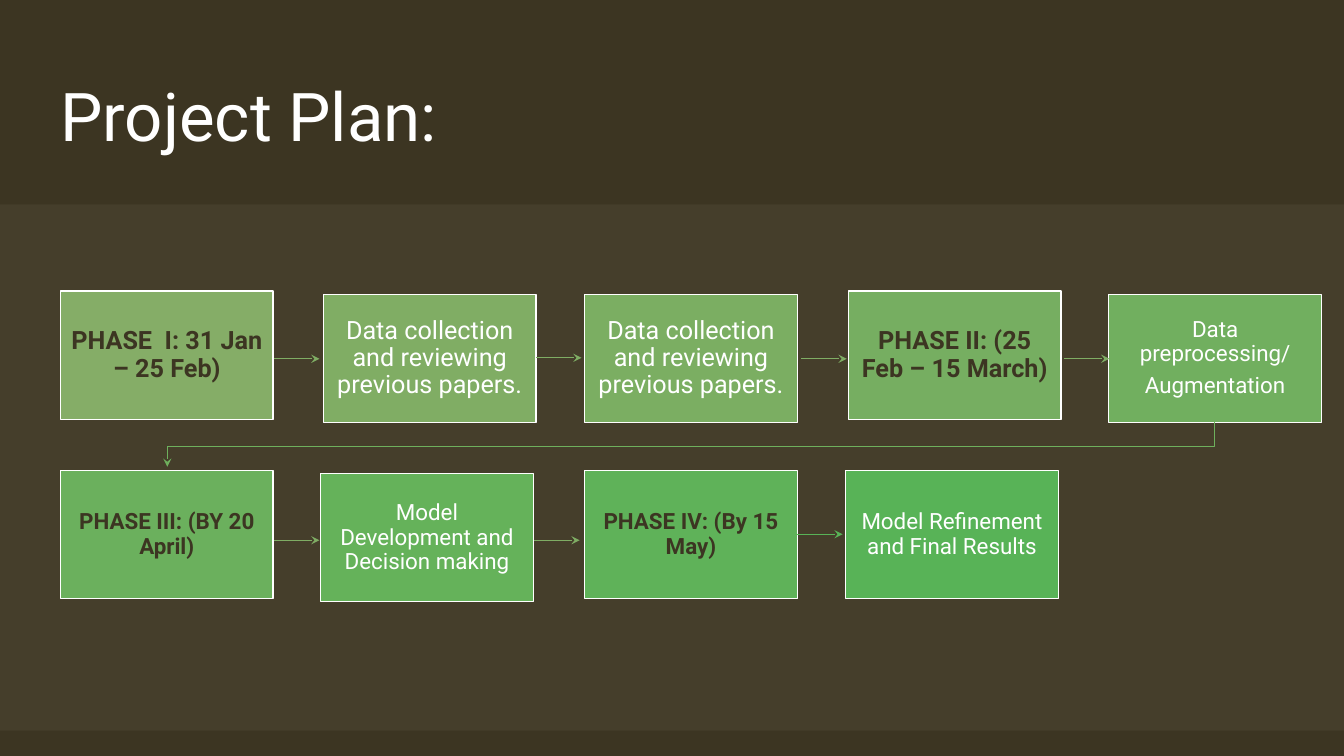
from lxml.etree import SubElement
from pptx import Presentation
from pptx.dml.color import RGBColor
from pptx.enum.shapes import MSO_CONNECTOR, MSO_SHAPE
from pptx.enum.text import MSO_ANCHOR, MSO_AUTO_SIZE, PP_ALIGN
from pptx.oxml.ns import qn
from pptx.util import Pt

COLORS = {
    "background": "3C3522", "band": "F1ECE3", "white": "FFFFFF",
    "dark": "3C3522", "arrow": "7FAD64", "turn": "6EB05D", "last": "58B357",
}
BOX_WIDTH, BOX_HEIGHT = 152, 91.5
PHASE = {"size": Pt(18), "bold": True}
TASK = {"size": Pt(18), "bold": False}
SMALL = {"size": Pt(16)}
STEPS = [
    (43.2, 208, "85AD67", PHASE, ["PHASE  I: 31 Jan – 25 Feb)"]),
    (231, 210.2, "80AD64", TASK, ["Data collection and reviewing previous papers."]),
    (417.6, 210.2, "7BAE62", TASK, ["Data collection and reviewing previous papers."]),
    (606, 208, "76AE61", PHASE, ["PHASE II: (25 Feb – 15 March)"]),
    (792, 210.2, "71AF5F", TASK | SMALL, ["Data preprocessing/", "Augmentation"]),
    (43.2, 336.2, "6BB05D", PHASE | SMALL, ["PHASE III: (BY 20 April)"]),
    (229, 338.4, "65B25A", TASK | SMALL, ["Model Development and Decision making"]),
    (417.6, 336.2, "5FB259", PHASE | SMALL, ["PHASE IV: (By 15 May)"]),
    (604, 336.2, "58B357", TASK | SMALL, ["Model Refinement and Final Results"]),
]
ARROWS = [
    (195.8, 256.3, "arrow"), (383, 255.6, "arrow"), (572.4, 256.3, "arrow"),
    (760, 256.3, "arrow"), (195.8, 385.9, "arrow"), (381.6, 385.9, "arrow"),
    (569.5, 381.6, "last"),
]
ARROW_LENGTH = 32.4
TURN = [(867.8, 301), (867.8, 319), (119.5, 319), (119.5, 333.4)]


def color(name):
    """Return the colour for a name in COLORS or for a hex string."""
    return RGBColor.from_string(COLORS.get(name, name))


def apply(target, values):
    """Set each attribute of the target from a dict."""
    for name, value in values.items():
        setattr(target, name, value)


def write(shape, lines, ink, frame_format, para_format, font_format):
    """Fill a shape with formatted paragraphs."""
    frame = shape.text_frame
    apply(frame, {"word_wrap": True, "auto_size": MSO_AUTO_SIZE.NONE,
                  "vertical_anchor": MSO_ANCHOR.MIDDLE} | frame_format)
    for index, line in enumerate(lines):
        para = frame.paragraphs[0] if index == 0 else frame.add_paragraph()
        apply(para, para_format)
        if index:
            para.space_before = Pt(5.6)
        span = para.add_run()
        span.text = line
        apply(span.font, {"name": "Roboto"} | font_format)
        span.font.color.rgb = color(ink)


def add_rectangle(page, left, top, width, height, fill):
    """Add a plain filled rectangle without a line."""
    box = page.shapes.add_shape(
        MSO_SHAPE.RECTANGLE, Pt(left), Pt(top), Pt(width), Pt(height))
    box.shadow.inherit = False
    box.fill.solid()
    box.fill.fore_color.rgb = color(fill)
    box.line.fill.background()
    return box


def add_title(page, text):
    """Move and format the title placeholder."""
    title = page.shapes.title
    apply(title, {"left": Pt(43.2), "top": Pt(43.2),
                  "width": Pt(575), "height": Pt(78)})
    margins = dict.fromkeys(
        ["margin_left", "margin_right", "margin_top", "margin_bottom"], 0)
    write(title, [text], "white", margins,
          {"alignment": PP_ALIGN.LEFT}, {"size": Pt(48)})


def add_band(page):
    """Add the pale translucent band behind the plan."""
    band = add_rectangle(page, 0, 146, 960, 376, "band")
    shade = band.element.spPr.find(qn("a:solidFill"))[0]
    SubElement(shade, qn("a:alpha"), val="5000")


def add_step(page, left, top, fill, font_format, lines):
    """Add one outlined step of the plan."""
    box = add_rectangle(page, left, top, BOX_WIDTH, BOX_HEIGHT, fill)
    box.line.color.rgb = color("white")
    box.line.width = Pt(1)
    margins = {"margin_left": Pt(7.2), "margin_right": Pt(7.2),
               "margin_top": Pt(7.9), "margin_bottom": Pt(7.9)}
    write(box, lines, "dark" if font_format["bold"] else "white", margins,
          {"alignment": PP_ALIGN.CENTER, "line_spacing": 0.9}, font_format)


def style_arrow(arrow, ink):
    """Give a line its colour, width and stealth head."""
    arrow.line.color.rgb = color(ink)
    arrow.line.width = Pt(0.75)
    properties = arrow.element.spPr
    SubElement(properties.find(qn("a:ln")), qn("a:tailEnd"), type="stealth")
    if properties.find(qn("a:effectLst")) is None:
        SubElement(properties, qn("a:effectLst"))


def add_arrow(page, left, top, ink):
    """Add a short arrow to the right."""
    arrow = page.shapes.add_connector(
        MSO_CONNECTOR.STRAIGHT, Pt(left), Pt(top),
        Pt(left + ARROW_LENGTH), Pt(top))
    style_arrow(arrow, ink)


def add_turn(page):
    """Add the bent arrow from the first row to the second."""
    start, *corners = [(Pt(x), Pt(y)) for x, y in TURN]
    builder = page.shapes.build_freeform(*start)
    builder.add_line_segments(corners, close=False)
    arrow = builder.convert_to_shape()
    arrow.fill.background()
    style_arrow(arrow, "turn")


def main():
    """Build and save the project plan slide."""
    deck = Presentation()
    apply(deck, {"slide_width": Pt(960), "slide_height": Pt(540)})
    page = deck.slides.add_slide(deck.slide_layouts[5])
    page.background.fill.solid()
    page.background.fill.fore_color.rgb = color("background")
    add_title(page, "Project Plan:")
    add_band(page)
    for step in STEPS:
        add_step(page, *step)
    for arrow in ARROWS:
        add_arrow(page, *arrow)
    add_turn(page)
    deck.save("out.pptx")


if __name__ == "__main__":
    main()
